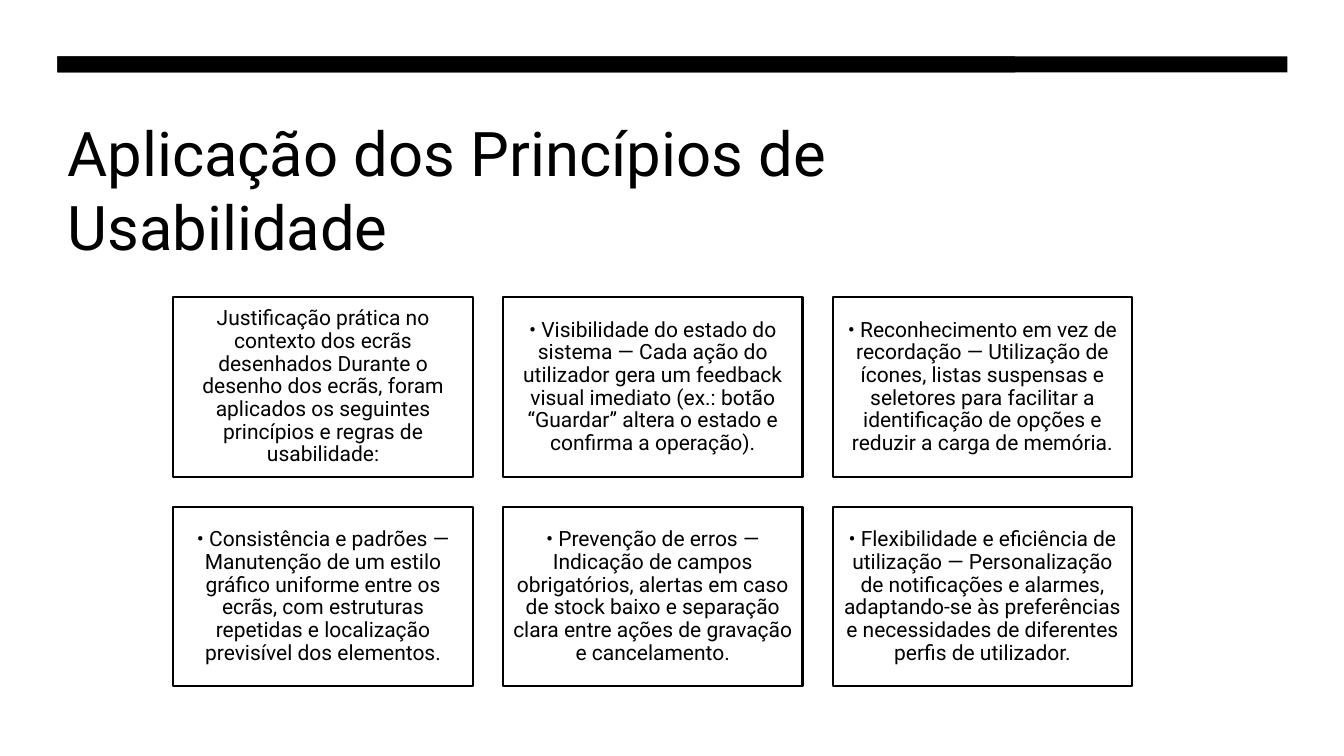
from pptx import Presentation
from pptx.dml.color import RGBColor
from pptx.enum.shapes import MSO_SHAPE
from pptx.enum.text import MSO_ANCHOR, PP_ALIGN
from pptx.util import Inches, Pt

TITLE = "Aplicação dos Princípios de Usabilidade"
PRINCIPLES = [
    "Justificação prática no contexto dos ecrãs desenhados Durante o desenho dos ecrãs, "
    "foram aplicados os seguintes princípios e regras de usabilidade:",
    "• Visibilidade do estado do sistema — Cada ação do utilizador gera um feedback visual "
    "imediato (ex.: botão “Guardar” altera o estado e confirma a operação).",
    "• Reconhecimento em vez de recordação — Utilização de ícones, listas suspensas e "
    "seletores para facilitar a identificação de opções e reduzir a carga de memória.",
    "• Consistência e padrões — Manutenção de um estilo gráfico uniforme entre os ecrãs, "
    "com estruturas repetidas e localização previsível dos elementos.",
    "• Prevenção de erros — Indicação de campos obrigatórios, alertas em caso de stock "
    "baixo e separação clara entre ações de gravação e cancelamento.",
    "• Flexibilidade e eficiência de utilização — Personalização de notificações e alarmes, "
    "adaptando-se às preferências e necessidades de diferentes perfis de utilizador.",
]

BLACK = RGBColor(0, 0, 0)
WHITE = RGBColor(255, 255, 255)
FONT = "Roboto"

MARGIN = 0.57
BAR_TOP, BAR_HEIGHT = 0.56, 0.16
BAR_WIDTHS = (12.2, 9.5)
COLUMNS = 3
GRID_LEFT, GRID_TOP = 1.72, 2.95
CARD_WIDTH, CARD_HEIGHT = 2.97, 1.78
GAP = 0.3
CARD_INSET = Inches(0.06)

CARD_FRAME = {
    "word_wrap": True,
    "vertical_anchor": MSO_ANCHOR.MIDDLE,
    "margin_left": CARD_INSET,
    "margin_right": CARD_INSET,
    "margin_top": CARD_INSET,
    "margin_bottom": CARD_INSET,
}
CARD_PARAGRAPH = {"alignment": PP_ALIGN.CENTER, "line_spacing": 0.9, "space_after": Pt(6)}
TITLE_FRAME = {"word_wrap": True, "vertical_anchor": MSO_ANCHOR.MIDDLE}


def apply(target, values):
    for name, value in values.items():
        setattr(target, name, value)


def write(box, text, size, frame_format, paragraph_format):
    frame = box.text_frame
    apply(frame, frame_format)
    para = frame.paragraphs[0]
    apply(para, paragraph_format)
    span = para.add_run()
    span.text = text
    apply(span.font, {"name": FONT, "size": Pt(size)})
    span.font.color.rgb = BLACK


def add_rectangle(page, left, top, width, height, fill):
    box = page.shapes.add_shape(
        MSO_SHAPE.RECTANGLE, Inches(left), Inches(top), Inches(width), Inches(height))
    box.shadow.inherit = False
    box.fill.solid()
    box.fill.fore_color.rgb = fill
    return box


def main():
    deck = Presentation()
    deck.slide_width, deck.slide_height = Inches(13.33), Inches(7.5)
    page = deck.slides.add_slide(deck.slide_layouts[6])

    for width in BAR_WIDTHS:
        bar = add_rectangle(page, MARGIN, BAR_TOP, width, BAR_HEIGHT, BLACK)
        bar.line.fill.background()

    title = page.shapes.add_textbox(Inches(MARGIN), Inches(1.07), Inches(9.5), Inches(1.6))
    write(title, TITLE, 44, TITLE_FRAME, {})

    for index, principle in enumerate(PRINCIPLES):
        row, column = divmod(index, COLUMNS)
        left = GRID_LEFT + column * (CARD_WIDTH + GAP)
        top = GRID_TOP + row * (CARD_HEIGHT + GAP)
        card = add_rectangle(page, left, top, CARD_WIDTH, CARD_HEIGHT, WHITE)
        card.line.color.rgb = BLACK
        card.line.width = Pt(1.5)
        write(card, principle, 15, CARD_FRAME, CARD_PARAGRAPH)

    deck.save("out.pptx")


if __name__ == "__main__":
    main()
